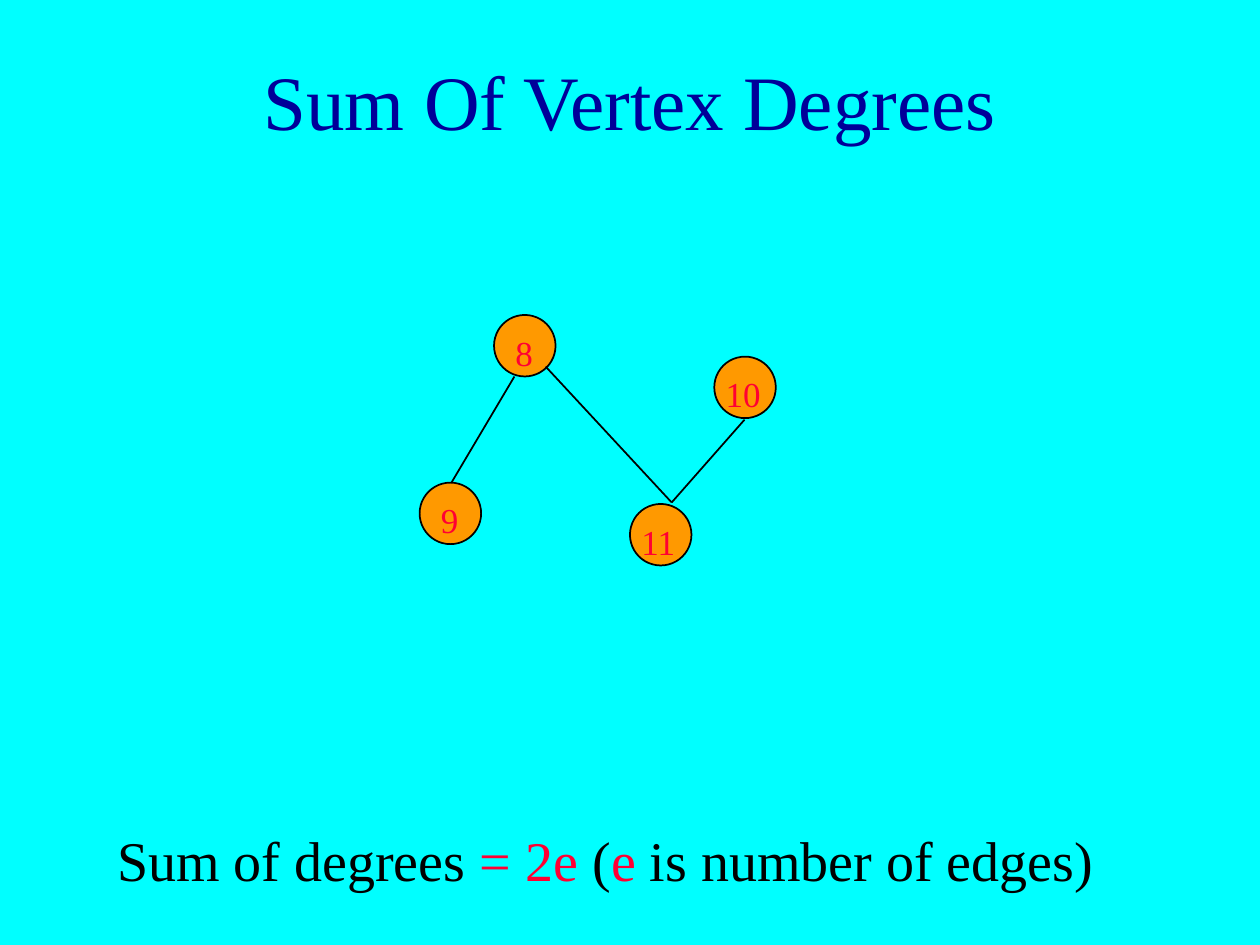
from lxml import etree
from pptx import Presentation
from pptx import util as u
from pptx.dml import color
from pptx.enum import shapes, text
from pptx.oxml import ns

COLOURS = {
    "background": "00FFFF",
    "title": "000099",
    "ink": "000000",
    "accent": "FF0033",
    "vertex": "FF9900",
}
FONT = "Times New Roman"
DIAMETER = 1.24
LABEL_TOP = 0.2

# label: left, top, label offset, label width
VERTICES = {
    "8": (1.5, 0, 0.18, 0.64),
    "10": (5.94, 0.84, -0.02, 1.27),
    "9": (0, 3.38, 0.18, 0.64),
    "11": (4.24, 3.81, -0.02, 2.11),
}
EDGES = [
    ((1.91, 1.24), (0.64, 3.38)),
    ((2.54, 1.04), (5.08, 3.78)),
    ((5.08, 3.78), (6.55, 2.11)),
]


def rgb(name):
    return color.RGBColor.from_string(COLOURS[name])


def add_text(parent, box, spans, size, align=text.PP_ALIGN.LEFT,
             anchor=text.MSO_ANCHOR.TOP):
    """Add one paragraph made of (wording, colour name) spans."""
    frame = parent.add_textbox(*map(u.Cm, box)).text_frame
    frame.word_wrap = True
    frame.vertical_anchor = anchor
    para = frame.paragraphs[0]
    para.alignment = align
    para.font.name = FONT
    para.font.size = u.Pt(size)
    for wording, colour in spans:
        span = para.add_run()
        span.text = wording
        span.font.color.rgb = rgb(colour)


def add_title(page, box):
    add_text(page.shapes, box, [("Sum Of Vertex Degrees", "title")], 44,
             text.PP_ALIGN.CENTER, text.MSO_ANCHOR.MIDDLE)


def add_graph(page, left, top):
    graph = page.shapes.add_group_shape().shapes

    for x, y, _, _ in VERTICES.values():
        circle = graph.add_shape(
            shapes.MSO_SHAPE.OVAL, u.Cm(left + x), u.Cm(top + y),
            u.Cm(DIAMETER), u.Cm(DIAMETER))
        circle.shadow.inherit = False
        circle.fill.solid()
        circle.fill.fore_color.rgb = rgb("vertex")
        circle.line.color.rgb = rgb("ink")
        circle.line.width = u.Pt(1)

    for (x1, y1), (x2, y2) in EDGES:
        edge = graph.add_connector(
            shapes.MSO_CONNECTOR.STRAIGHT, u.Cm(left + x1), u.Cm(top + y1),
            u.Cm(left + x2), u.Cm(top + y2))
        edge.line.color.rgb = rgb("ink")
        edge.line.width = u.Pt(1)
        etree.SubElement(edge.element.spPr, ns.qn("a:effectLst"))

    for label, (x, y, offset, width) in VERTICES.items():
        box = (left + x + offset, top + y + LABEL_TOP, width, 1.09)
        add_text(graph, box, [(label, "accent")], 20)


def add_formula(page, box):
    spans = [
        ("Sum of degrees ", "ink"),
        ("= 2e", "accent"),
        (" (", "ink"),
        ("e ", "accent"),
        ("is number of edges)", "ink"),
    ]
    add_text(page.shapes, box, spans, 32)


def main():
    deck = Presentation()
    deck.slide_width, deck.slide_height = u.Cm(25.4), u.Cm(19.05)
    page = deck.slides.add_slide(deck.slide_layouts[6])
    page.background.fill.solid()
    page.background.fill.fore_color.rgb = rgb("background")
    add_title(page, (1.9, 0.43, 21.6, 3.18))
    add_formula(page, (2.11, 16.51, 21.6, 1.7))
    add_graph(page, 8.46, 6.35)
    deck.save("out.pptx")


if __name__ == "__main__":
    main()
